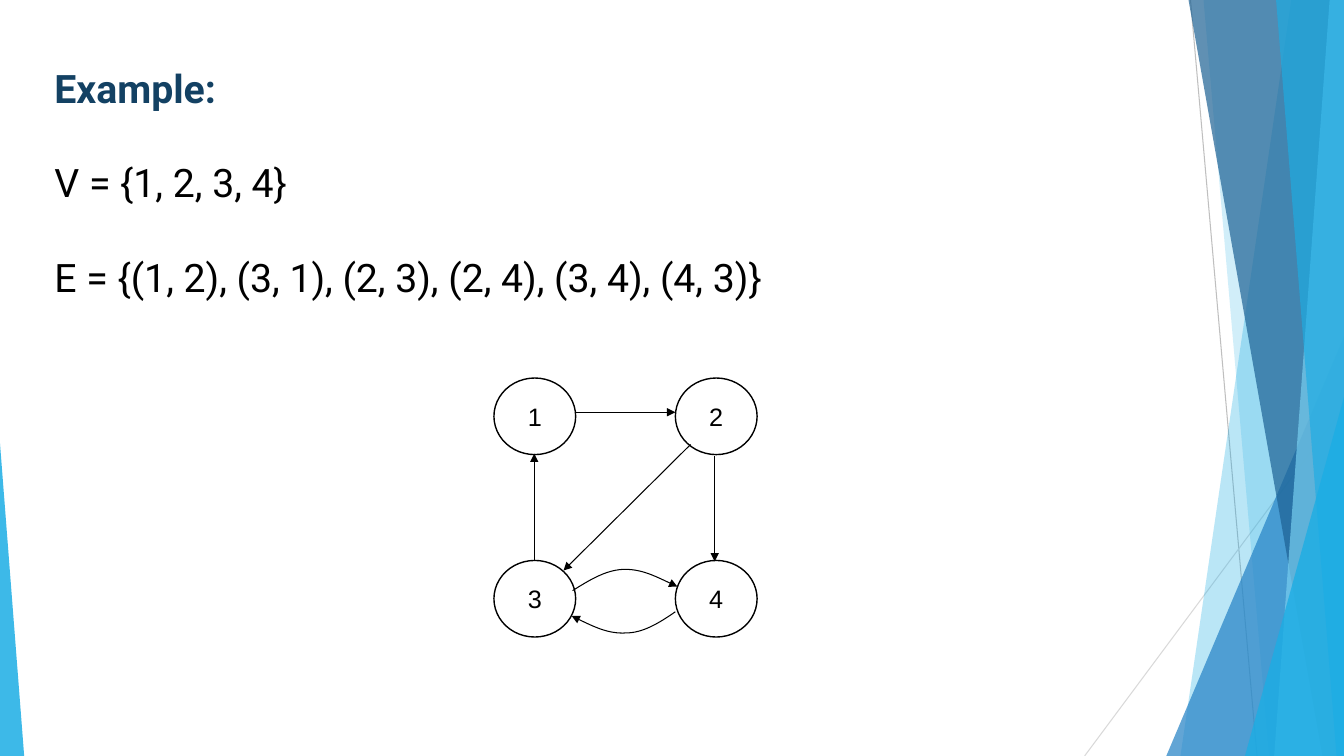
from dataclasses import dataclass

from lxml import etree
from pptx import Presentation
from pptx.dml.color import RGBColor
from pptx.enum.shapes import MSO_CONNECTOR as Link, MSO_SHAPE as Kind
from pptx.enum.text import MSO_ANCHOR as Anchor, MSO_AUTO_SIZE as Fit, PP_ALIGN as Align
from pptx.oxml.ns import qn
from pptx.util import Inches, Pt

WIDE, HIGH = Inches(13.33), Inches(7.5)


@dataclass(frozen=True)
class Theme:
    head: str = "134163"
    ink: str = "000000"
    sky: str = "1CADE4"
    blue: str = "2683C6"
    navy: str = "1D6294"
    pale: str = "77CEEF"
    gray: str = "BFBFBF"
    mist: str = "D9D9D9"
    font: str = "Roboto"
    label: str = "Arial"
    big: int = 28
    small: int = 18
    thin: float = 0.75
    ring: float = 1


LOOK = Theme()

# All places are percentages of the slide's width (col) and height (row).
COLS, ROWS = (39.79, 53.29), (55.07, 79.2)
NODE = (6.08, 10.13)
EDGES = [
    ((42.75, 54.53), (50.25, 54.53)),
    ((53.18, 60.27), (53.18, 74.27)),
    ((39.75, 74.13), (39.75, 60)),
    ((51.38, 58.8), (41.93, 75.47)),
]
CURVES = [
    [(42.6, 78.13), (43.8, 76.8), (45, 75.47), (46.28, 75.33),
     (47.63, 75.2), (48.98, 76.4), (50.4, 77.6)],
    [(50.25, 80.93), (49.05, 82.4), (47.85, 83.73), (46.58, 83.73),
     (45.3, 83.87), (43.88, 82.67), (42.53, 81.47)],
]


def col(share):
    return round(WIDE * share / 100)


def row(share):
    return round(HIGH * share / 100)


def spot(point):
    return col(point[0]), row(point[1])


def paint(shape, color, alpha):
    """Fill without outline; alpha is the opacity in percent."""
    shape.shadow.inherit = False
    shape.line.fill.background()
    shape.fill.solid()
    shape.fill.fore_color.rgb = RGBColor.from_string(color)
    tint = shape.fill._xPr.find(".//" + qn("a:srgbClr"))
    etree.SubElement(tint, qn("a:alpha"), val=str(alpha * 1000))


def stroke(shape, color, width, arrow=False):
    shape.line.color.rgb = RGBColor.from_string(color)
    shape.line.width = Pt(width)
    if arrow:
        line = shape.line._get_or_add_ln()
        etree.SubElement(line, qn("a:tailEnd"), type="triangle")


def write(frame, lines, size=LOOK.big, font=LOOK.font, color=LOOK.ink,
          bold=False, align=Align.JUSTIFY, anchor=Anchor.TOP, wrap=True, gap=0):
    frame.word_wrap = wrap
    frame.auto_size = Fit.NONE
    frame.vertical_anchor = anchor
    for n, line in enumerate(lines):
        para = frame.add_paragraph() if n else frame.paragraphs[0]
        para.alignment = align
        para.line_spacing = 1.0
        para.space_before = Pt(gap if n else 0)
        para.space_after = Pt(0)
        run = para.add_run()
        run.text = line
        run.font.size, run.font.name, run.font.bold = Pt(size), font, bold
        run.font.color.rgb = RGBColor.from_string(color)


def place(shape, left, top, width, height):
    shape.left, shape.top = spot((left, top))
    shape.width, shape.height = spot((width, height))


def plain(frame):
    """Take bullets and indents off the list."""
    for para in frame.paragraphs:
        props = para._p.get_or_add_pPr()
        props.set("marL", "0")
        props.set("indent", "0")
        etree.SubElement(props, qn("a:buNone"))


def link(shapes, start, end, color=LOOK.ink, arrow=False):
    line = shapes.add_connector(Link.STRAIGHT, *spot(start), *spot(end))
    stroke(line, color, LOOK.thin, arrow)
    etree.SubElement(line._element.spPr, qn("a:effectLst"))


def outline(shapes, points, close):
    build = shapes.build_freeform(*spot(points[0]))
    build.add_line_segments([spot(p) for p in points[1:]], close=close)
    return build.convert_to_shape()


def ribbon(shapes, top, foot, color, alpha):
    """Band from a slanted left edge to the slide's right side."""
    edge = [(top, 0), (100, 0), (100, 100), (foot, 100)]
    paint(outline(shapes, edge, True), color, alpha)


def wedge(shapes, left, top, width, apex, color, alpha):
    shape = shapes.add_shape(Kind.ISOSCELES_TRIANGLE, *spot((left, top)),
                             *spot((width, 100 - top)))
    shape.adjustments[0] = apex
    paint(shape, color, alpha)


def curve(shapes, points):
    """Arrow along cubic curves: a start, then three points for each."""
    shape = outline(shapes, points, False)
    shape.shadow.inherit = False
    shape.fill.background()
    stroke(shape, LOOK.ink, LOOK.thin, True)
    legs = shape._element.findall(".//" + qn("a:lnTo"))
    for n in range(0, len(legs), 3):
        bend = etree.Element(qn("a:cubicBezTo"))
        legs[n].addprevious(bend)
        for leg in legs[n:n + 3]:
            bend.append(leg[0])
            leg.getparent().remove(leg)


def node(shapes, name, x, y):
    wide, high = NODE
    shape = shapes.add_shape(Kind.OVAL, *spot((x - wide / 2, y - high / 2)), *spot(NODE))
    shape.shadow.inherit = False
    shape.fill.background()
    stroke(shape, LOOK.ink, LOOK.ring)
    write(shape.text_frame, [name], size=LOOK.small, font=LOOK.label,
          align=Align.CENTER, anchor=Anchor.MIDDLE, wrap=False)


def facets(shapes):
    link(shapes, (88.58, 0), (93.53, 100), LOOK.gray)
    link(shapes, (100, 53.87), (80.7, 100), LOOK.mist)
    ribbon(shapes, 96.08, 87.83, LOOK.sky, 30)
    ribbon(shapes, 89.55, 94.43, LOOK.sky, 20)
    wedge(shapes, 86.78, 44.53, 13.22, 1, LOOK.blue, 72)
    ribbon(shapes, 88.43, 98.4, LOOK.navy, 70)
    ribbon(shapes, 98.93, 94.8, LOOK.pale, 70)
    ribbon(shapes, 94.95, 99.45, LOOK.sky, 65)
    wedge(shapes, 92.63, 52.53, 7.37, 1, LOOK.sky, 80)
    wedge(shapes, 0, 58.67, 1.8, 0, LOOK.sky, 85)


def graph(shapes):
    for n in range(4):
        node(shapes, str(n + 1), COLS[n % 2], ROWS[n // 2])
    for start, end in EDGES:
        link(shapes, start, end, arrow=True)
    for points in CURVES:
        curve(shapes, points)


def main():
    deck = Presentation()
    deck.slide_width, deck.slide_height = WIDE, HIGH
    slide = deck.slides.add_slide(deck.slide_layouts[1])
    title, body = slide.placeholders
    place(title, 3.3, 7.87, 81.9, 8)
    write(title.text_frame, ["Example:"], color=LOOK.head, bold=True)
    place(body, 3.3, 20.27, 81.9, 26.67)
    write(body.text_frame, ["V = {1, 2, 3, 4}",
                            "E = {(1, 2), (3, 1), (2, 3), (2, 4), (3, 4), (4, 3)}"], gap=34.5)
    plain(body.text_frame)
    facets(slide.shapes)
    graph(slide.shapes)
    deck.save("out.pptx")


if __name__ == "__main__":
    main()
